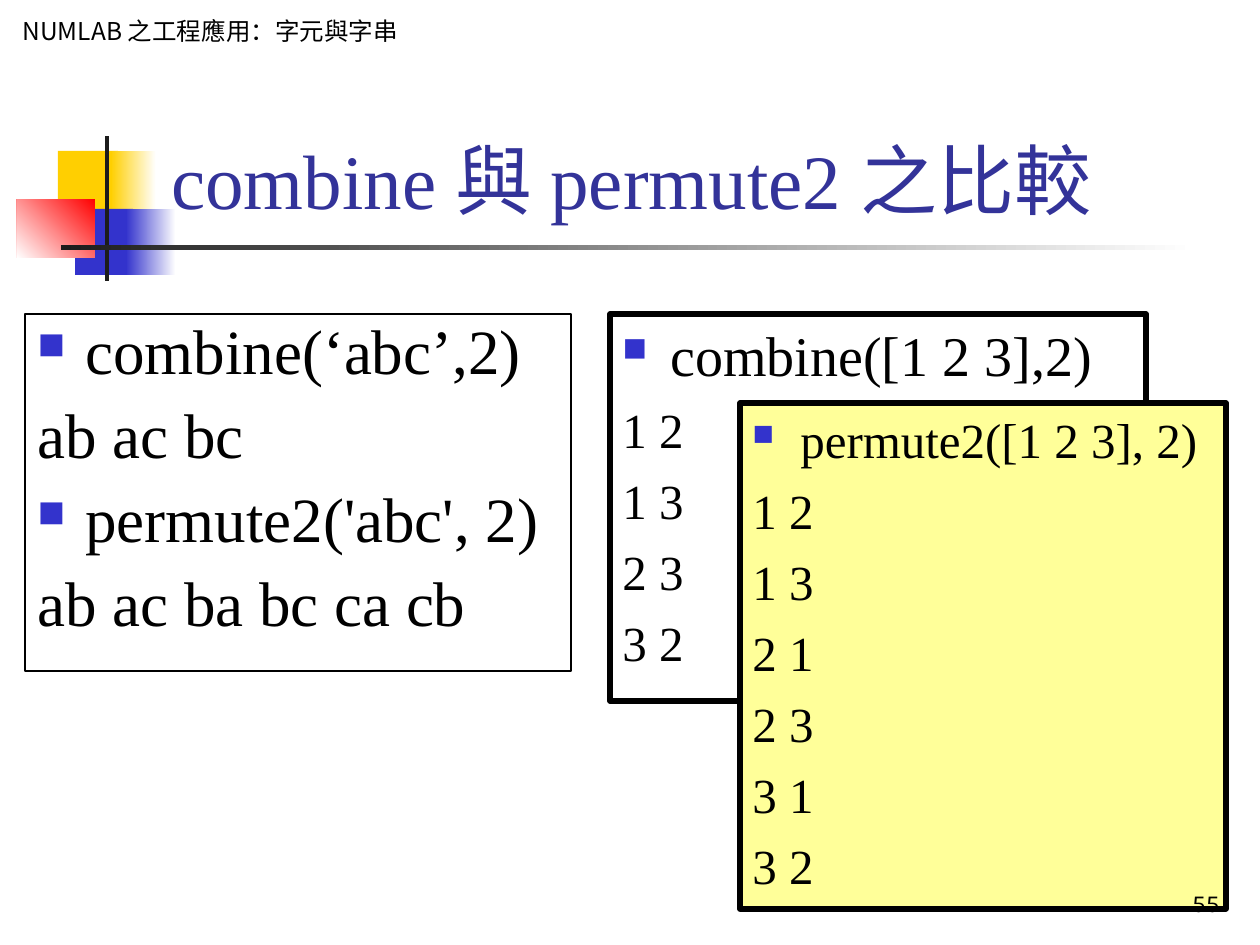
from lxml import etree
from pptx import Presentation
from pptx import util as u
from pptx.dml.color import RGBColor
from pptx.enum import shapes, text
from pptx.oxml.ns import qn

PX = 914400 / 126
INDENT = 48
SERIF, CJK, PAGE = "Times New Roman", "Noto Sans CJK SC", "Karla"
COLORS = {
    "white": "FFFFFF", "black": "000000", "yellow": "FFCF01", "blue": "3333CC",
    "red": "FF0000", "dark": "1C1C1C", "title": "333399", "pale": "FFFF99",
}


def px(n):
    return u.Emu(round(n * PX))


def rgb(name):
    return RGBColor.from_string(COLORS[name])


def rect(s, box, fill=None, line=None):
    sp = s.shapes.add_shape(shapes.MSO_SHAPE.RECTANGLE, *map(px, box))
    sp.shadow.inherit = False
    if fill:
        sp.fill.solid()
        sp.fill.fore_color.rgb = rgb(fill)
    else:
        sp.fill.background()
    if line:
        sp.line.color.rgb = rgb("black")
        sp.line.width = u.Pt(line)
    else:
        sp.line.fill.background()
    return sp


def gradient_rect(s, box, start, end, angle=180):
    sp = rect(s, box)
    sp.fill.gradient()
    sp.fill.gradient_angle = angle
    for stop, color in zip(sp.fill.gradient_stops, (start, end)):
        stop.color.rgb = rgb(color)


def style(p, size, font=SERIF, color="black"):
    for r in p.runs:
        r.font.size = u.Pt(size)
        r.font.name = font
        r.font.color.rgb = rgb(color)
        ea = etree.SubElement(r.font._element, qn("a:ea"))
        ea.set("typeface", CJK)


def frame(sp, anchor):
    tf = sp.text_frame
    tf.word_wrap = True
    tf.vertical_anchor = anchor
    return tf


def label(sp, words, size, font, color="black", anchor=text.MSO_ANCHOR.BOTTOM,
          align=text.PP_ALIGN.LEFT):
    tf = frame(sp, anchor)
    tf.text = words
    p = tf.paragraphs[0]
    p.alignment = align
    style(p, size, font, color)


def text_box(s, box):
    return s.shapes.add_textbox(*map(px, box))


def bullet(p):
    pPr = p._p.get_or_add_pPr()
    clr = etree.SubElement(pPr, qn("a:buClr"))
    etree.SubElement(clr, qn("a:srgbClr")).set("val", COLORS["blue"])
    etree.SubElement(pPr, qn("a:buSzPct")).set("val", "60000")
    etree.SubElement(pPr, qn("a:buChar")).set("char", "■")


def code_box(s, box, lines, head_size, size, line, fill=None, spacing=None):
    tf = frame(rect(s, box, fill, line), text.MSO_ANCHOR.TOP)
    tf.text = "\n".join(lines)
    for i, p in enumerate(tf.paragraphs):
        is_call = "(" in p.text
        pt = head_size if is_call else size
        pPr = p._p.get_or_add_pPr()
        pPr.set("marL", str(px(INDENT)))
        pPr.set("indent", str(-px(INDENT)))
        if is_call:
            bullet(p)
        p.alignment = text.PP_ALIGN.LEFT
        p.line_spacing = spacing
        p.space_before = u.Pt(pt / 4 if i else 0)
        style(p, pt)


def ornament(s):
    rect(s, (58, 151, 60, 66), "yellow")
    gradient_rect(s, (111, 151, 45, 66), "white", "yellow")
    rect(s, (75, 209, 58, 66), "blue")
    gradient_rect(s, (126, 209, 50, 66), "white", "blue")
    gradient_rect(s, (17, 199, 78, 59), "red", "white", 225)
    rect(s, (105, 136, 4, 145), "dark")
    gradient_rect(s, (61, 245, 1134, 5), "white", "dark")


def main():
    prs = Presentation()
    prs.slide_width, prs.slide_height = px(1260), px(945)
    s = prs.slides.add_slide(prs.slide_layouts[6])

    ornament(s)
    label(rect(s, (10, 10, 461, 43), "white"), "NUMLAB 之工程應用：字元與字串",
          14, CJK, anchor=text.MSO_ANCHOR.TOP)
    label(text_box(s, (159, 29, 1074, 202)), "combine 與 permute2 之比較",
          44, SERIF, "title")

    code_box(s, (25, 314, 546, 357),
             ["combine(‘abc’,2)", "ab ac bc", "permute2('abc', 2)", "ab ac ba bc ca cb"],
             36, 36, 0.75, spacing=0.9)
    code_box(s, (610, 314, 536, 387),
             ["combine([1 2 3],2)", "1 2", "1 3", "2 3", "3 2"], 32, 28, 3)
    code_box(s, (740, 403, 486, 506),
             ["permute2([1 2 3], 2)", "1 2", "1 3", "2 1", "2 3", "3 1", "3 2"],
             28, 28, 3, "pale")

    label(text_box(s, (970, 861, 262, 63)), "55", 14, PAGE, align=text.PP_ALIGN.RIGHT)
    prs.save("out.pptx")


if __name__ == "__main__":
    main()
